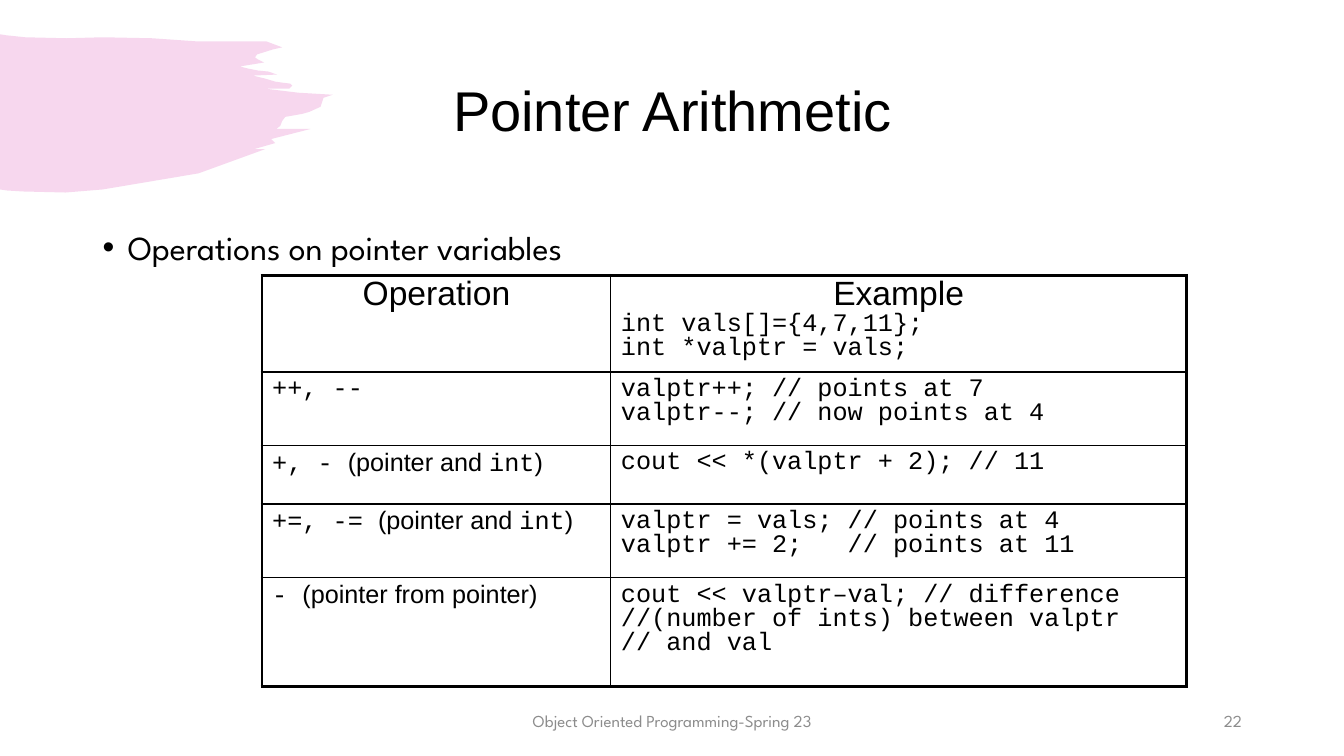
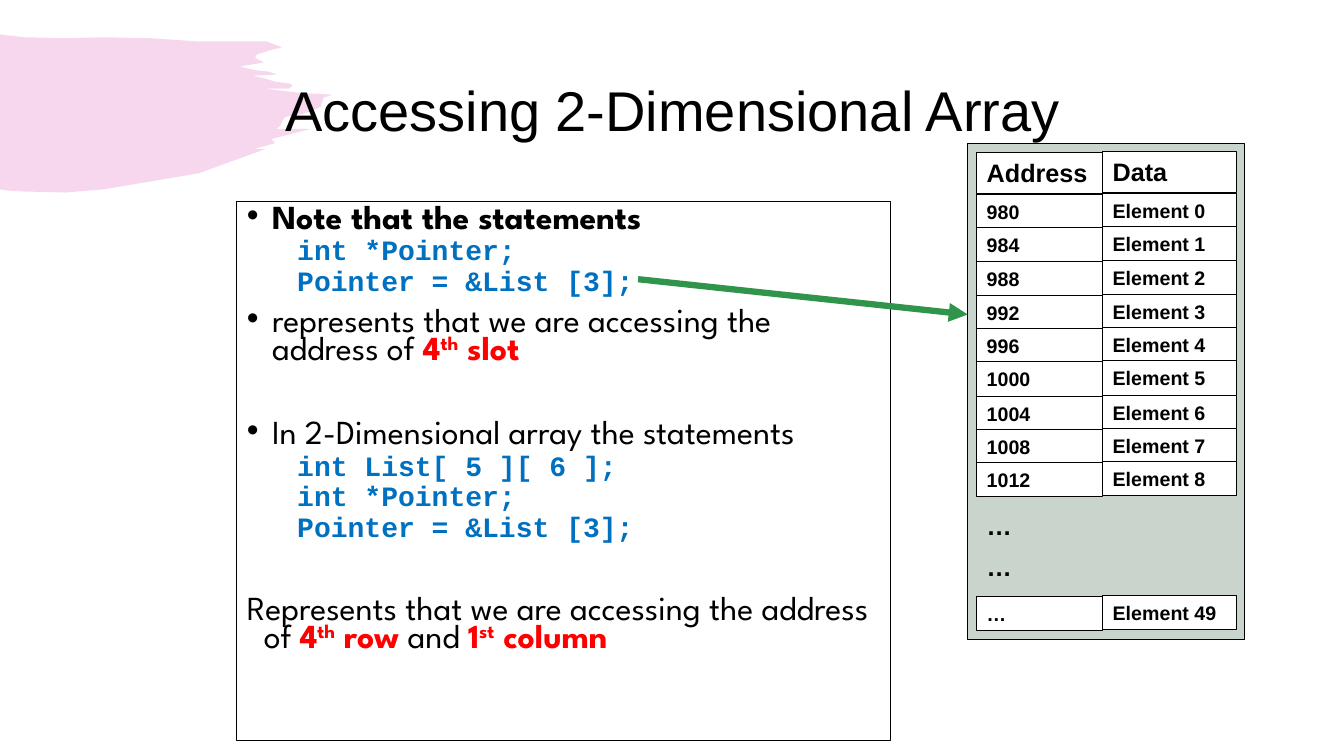
from lxml import etree
from pptx import Presentation, util as u
from pptx.dml.color import RGBColor
from pptx.enum import shapes, text
from pptx.oxml.ns import qn

PX = 9144  # EMU in one px, 100 px to the inch
BLACK = RGBColor(0x00, 0x00, 0x00)
WHITE = RGBColor(0xFF, 0xFF, 0xFF)
GREY = RGBColor(0x8C, 0x8C, 0x8C)
PINK = RGBColor(0xD7, 0x39, 0xAE)
BLUE = RGBColor(0x00, 0x70, 0xC0)
RED = RGBColor(0xFF, 0x00, 0x00)
SAGE = RGBColor(0xC8, 0xD4, 0xCC)
GREEN = RGBColor(0x31, 0x94, 0x4B)
SANS, MONO, BRAND = "Arial", "Courier New", "League Spartan"

# Text styles: font, points, colour, bold, superscript
TITLE = (SANS, 40, BLACK, False, False)
HEAD = (SANS, 24, BLACK, False, False)
PLAIN = (SANS, 18, BLACK, False, False)
CODE = (MONO, 18, BLACK, False, False)
BODY = (BRAND, 24, BLACK, False, False)
STRONG = (BRAND, 24, BLACK, True, False)
HOT = (BRAND, 24, RED, True, False)
SUPER = (BRAND, 24, RED, True, True)
BLUECODE = (MONO, 20, BLUE, True, False)
FOOT = (BRAND, 12, GREY, False, False)
LABEL = (SANS, 18, BLACK, True, False)
ENTRY = (SANS, 14, BLACK, True, False)

BRUSH = [
    (0, 34), (6, 35), (25, 37), (66, 38), (102, 37), (151, 38), (194, 41),
    (248, 41), (264, 41), (280, 47), (271, 49), (255, 54), (253, 57),
    (256, 59), (262, 62), (238, 66), (246, 68), (256, 70), (266, 71),
    (275, 74), (251, 75), (263, 78), (273, 81), (280, 82), (288, 83),
    (290, 85), (287, 88), (284, 88), (263, 88), (296, 92), (330, 94),
    (321, 97), (318, 106), (307, 111), (300, 113), (283, 116), (280, 120),
    (278, 125), (274, 128), (308, 128), (269, 138), (273, 142), (252, 148),
    (263, 148), (197, 172), (102, 188), (65, 191), (23, 190), (7, 189),
    (0, 188),
]


def write(par, runs, space=1.0, before=0, align=text.PP_ALIGN.LEFT):
    """Fill a paragraph with (words, style) runs."""
    par.alignment = align
    par.line_spacing = space
    par.space_before = u.Pt(before)
    for words, (face, size, ink, bold, sup) in runs:
        run = par.add_run()
        run.text = words
        font = run.font
        font.name, font.size, font.bold = face, u.Pt(size), bold
        font.color.rgb = ink
        if sup:
            font._element.set("baseline", "30000")


def indent(par, left, first, bullet=False):
    """Set the left margin and first-line indent in px."""
    props = par._p.get_or_add_pPr()
    props.set("marL", str(left * PX))
    props.set("indent", str(first * PX))
    if bullet:
        etree.SubElement(props, qn("a:buFont"), typeface=SANS)
        etree.SubElement(props, qn("a:buChar"), char="•")


deck = Presentation()
deck.slide_width, deck.slide_height = u.Inches(13.333), u.Inches(7.5)
layout = deck.slide_layouts[5]

# Titles
slides = []
for name in ("Pointer Arithmetic", "Accessing 2-Dimensional Array"):
    slide = deck.slides.add_slide(layout)
    title = slide.shapes.title
    title.left, title.top = 92 * PX, 40 * PX
    title.width, title.height = 1150 * PX, 145 * PX
    title.text_frame.vertical_anchor = text.MSO_ANCHOR.MIDDLE
    write(title.text_frame.paragraphs[0], [(name, TITLE)], 0.9,
          align=text.PP_ALIGN.CENTER)
    slides.append(slide)
first, second = slides

# The brush stroke moves to the layout, behind both titles
path = first.shapes.build_freeform(*BRUSH[0], scale=PX)
path.add_line_segments(BRUSH[1:], close=True)
brush = path.convert_to_shape()
brush.shadow.inherit = False
brush.fill.solid()
brush.fill.fore_color.rgb = PINK
brush.line.fill.background()
tint = brush._element.spPr.find(".//" + qn("a:srgbClr"))
etree.SubElement(tint, qn("a:alpha"), val="20000")
layout.shapes._spTree.insert(2, brush._element)

# Slide 1: lead line and footer
mid, end = text.PP_ALIGN.CENTER, text.PP_ALIGN.RIGHT
for words, style, x, y, wide, high, align in (
    ("Operations on pointer variables", BODY, 92, 220, 1150, 50, None),
    ("Object Oriented Programming-Spring 23", FOOT, 442, 695, 450, 40, mid),
    ("22", FOOT, 942, 695, 300, 40, end),
):
    box = first.shapes.add_textbox(x * PX, y * PX, wide * PX, high * PX)
    frame = box.text_frame
    frame.word_wrap = True
    par = frame.paragraphs[0]
    if style is BODY:
        indent(par, 25, -25, True)
    else:
        frame.vertical_anchor = text.MSO_ANCHOR.MIDDLE
    write(par, [(words, style)], align=align)

# Slide 1: operations table, each cell a list of paragraphs
mixed = [("(pointer and ", PLAIN), ("int", CODE), (")", PLAIN)]
rows = [
    (96, [[("Operation", HEAD)]],
     [[("Example", HEAD)], [("int vals[]={4,7,11};", CODE)],
      [("int *valptr = vals;", CODE)]]),
    (73, [[("++, --", CODE)]],
     [[("valptr++; // points at 7", CODE)],
      [("valptr--; // now points at 4", CODE)]]),
    (58, [[("+, - ", CODE)] + mixed],
     [[("cout << *(valptr + 2); // 11", CODE)]]),
    (73, [[("+=, -= ", CODE)] + mixed],
     [[("valptr = vals; // points at 4", CODE)],
      [("valptr += 2;   // points at 11", CODE)]]),
    (108, [[("- ", CODE), ("(pointer from pointer)", PLAIN)]],
     [[("cout << valptr–val; // difference", CODE)],
      [("//(number of ints) between valptr", CODE)],
      [("// and val", CODE)]]),
]
grid = first.shapes.add_table(len(rows), 2, 260 * PX, 273 * PX,
                              917 * PX, 408 * PX).table
grid.first_row = grid.horz_banding = False
grid.columns[0].width, grid.columns[1].width = 346 * PX, 571 * PX
for r, (high, *cells) in enumerate(rows):
    grid.rows[r].height = high * PX
    for c, lines in enumerate(cells):
        cell = grid.cell(r, c)
        cell.fill.background()
        frame = cell.text_frame
        for n, runs in enumerate(lines):
            par = frame.add_paragraph() if n else frame.paragraphs[0]
            write(par, runs, 0.85, align=mid if runs[0][1] is HEAD else None)
        outer = {"L": c == 0, "R": c == 1, "T": r == 0,
                 "B": r == len(rows) - 1}
        for n, (side, thick) in enumerate(outer.items()):
            edge = etree.Element(qn("a:ln" + side),
                                 w=str(u.Pt(2.25 if thick else 1)))
            paint = etree.SubElement(edge, qn("a:solidFill"))
            etree.SubElement(paint, qn("a:srgbClr"), val=str(BLACK))
            cell._tc.tcPr.insert(n, edge)

# Slide 2: notes, each (left, first-line indent, space before, runs)
notes = [
    (25, -25, 0, [("Note that the statements", STRONG)]),
    (50, 0, 5, [("int *Pointer;", BLUECODE)]),
    (50, 0, 5, [("Pointer = &List [3];", BLUECODE)]),
    (25, -25, 10, [("represents that we are accessing the address of ", BODY),
                   ("4", HOT), ("th", SUPER), (" slot", HOT)]),
    (25, -25, 40, [("In 2-Dimensional array the statements", BODY)]),
    (50, 0, 5, [("int List[ 5 ][ 6 ];", BLUECODE)]),
    (50, 0, 5, [("int *Pointer;", BLUECODE)]),
    (50, 0, 5, [("Pointer = &List [3];", BLUECODE)]),
    (17, -17, 40, [("Represents that we are accessing the address of ", BODY),
                   ("4", HOT), ("th", SUPER), (" row ", HOT), ("and ", BODY),
                   ("1", HOT), ("st", SUPER), (" column", HOT)]),
]
box = second.shapes.add_textbox(235 * PX, 200 * PX, 648 * PX, 535 * PX)
box.line.color.rgb = BLACK
box.line.width = u.Pt(0.75)
frame = box.text_frame
frame.word_wrap = True
for n, (left, lead, before, runs) in enumerate(notes):
    par = frame.add_paragraph() if n else frame.paragraphs[0]
    indent(par, left, lead, bullet=left == 25)
    write(par, runs, 0.7, before)

# Slide 2: memory map, each tile (x, y, width, height, fill, words, style)
LEFT, RIGHT, STEP = (969, 125), (1094, 133), 100 / 3
tiles = [(960, 142, 275, 492, SAGE, "", None)]
pairs = [(150, 41, "Address", "Data", LABEL)]
for n in range(9):
    pairs.append((192 + int(n * STEP), 34, str(980 + 4 * n),
                  f"Element {n}", ENTRY))
pairs.append((591, 34, "…", "Element 49", ENTRY))
for y, high, spot, data, style in pairs:
    tiles.append((LEFT[0], y + 1, LEFT[1], high, WHITE, spot, style))
    tiles.append((RIGHT[0], y, RIGHT[1], high, WHITE, data, style))
for y in (501, 542):
    tiles.append((LEFT[0], y, LEFT[1], 40, SAGE, "…", LABEL))

for x, y, wide, high, hue, words, style in tiles:
    tile = second.shapes.add_shape(shapes.MSO_SHAPE.RECTANGLE, x * PX, y * PX,
                                   wide * PX, high * PX)
    tile.shadow.inherit = False
    tile.fill.solid()
    tile.fill.fore_color.rgb = hue
    if words and hue == SAGE:
        tile.line.fill.background()
    else:
        tile.line.color.rgb = BLACK
        tile.line.width = u.Pt(0.75)
    if words:
        tile.text_frame.vertical_anchor = text.MSO_ANCHOR.MIDDLE
        write(tile.text_frame.paragraphs[0], [(words, style)])

# Slide 2: arrow from the statement to address 992
arrow = second.shapes.add_connector(shapes.MSO_CONNECTOR.STRAIGHT, 633 * PX,
                                    277 * PX, 960 * PX, 312 * PX)
arrow.line.color.rgb = GREEN
arrow.line.width = u.Pt(4.5)
etree.SubElement(arrow.line._get_or_add_ln(), qn("a:tailEnd"), type="triangle")
etree.SubElement(arrow._element.spPr, qn("a:effectLst"))

deck.save("out.pptx")
